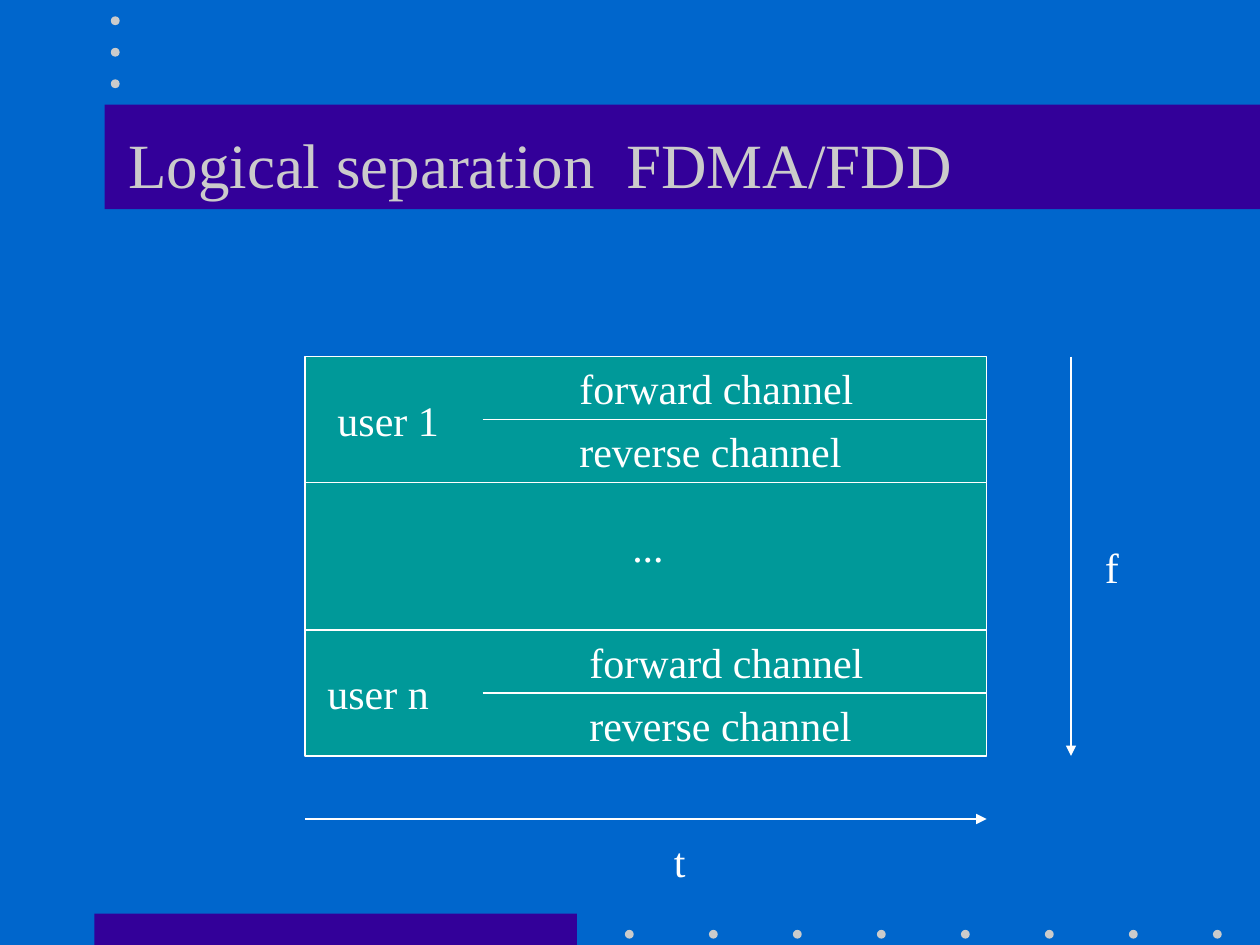
from lxml import etree
from pptx import Presentation
from pptx.dml.color import RGBColor
from pptx.enum.shapes import MSO_CONNECTOR, MSO_SHAPE
from pptx.enum.text import MSO_ANCHOR
from pptx.oxml.ns import qn
from pptx.util import Inches, Pt

RECTANGLE, OVAL = MSO_SHAPE.RECTANGLE, MSO_SHAPE.OVAL
STRAIGHT = MSO_CONNECTOR.STRAIGHT
TOP, MIDDLE = MSO_ANCHOR.TOP, MSO_ANCHOR.MIDDLE

BLUE, PURPLE, TEAL, GRAY, WHITE = "0066CC", "330099", "009999", "CBCBCB", "FFFFFF"
TITLE = "Logical separation  FDMA/FDD"
TITLE_FORMAT = {"name": "Times New Roman", "size": Pt(36)}
LABEL_FORMAT = {"name": "Times New Roman", "size": Pt(24)}

BARS = [(0.75, 7.25, 3.83, 0.25), (0.83, 0.83, 9.17, 0.83)]
DOT_SIZE = 0.07
TOP_DOTS = [(0.88, 0.13 + 0.25 * row) for row in range(3)]
BOTTOM_DOTS = [(4.96 + 2 / 3 * column, 7.38) for column in range(8)]

LEFT, RIGHT, UPPER, LOWER = 2.42, 7.83, 2.83, 6
CHANNEL_LEFT, ROW = 3.83, 0.5
USER_1_END, USER_N_START = 3.83, 5
DIVIDERS = [
    (CHANNEL_LEFT, UPPER + ROW),
    (LEFT, USER_1_END),
    (CHANNEL_LEFT, USER_N_START + ROW),
    (LEFT, USER_N_START),
]
AXES = [(8.5, UPPER, 8.5, LOWER), (LEFT, 6.5, RIGHT, 6.5)]
LABELS = [
    ("f", 8.67, 4.25, 0.58),
    ("t", 5.25, 6.58, 0.25),
    ("user 1", 2.58, 3.08, 1.92),
    ("user n", 2.5, 5.25, 1.17),
    ("forward channel", 4.5, UPPER, 3.58),
    ("reverse channel", 4.5, UPPER + ROW, 2.67),
    ("forward channel", 4.58, USER_N_START, 2.5),
    ("reverse channel", 4.58, USER_N_START + ROW, 2.67),
    ("...", 4.92, 4.08, 0.5),
]


def paint(color_format, color):
    color_format.rgb = RGBColor.from_string(color)


def outline(line):
    paint(line.color, WHITE)
    line.width = Pt(1)


def add_block(slide, kind, box, color):
    shape = slide.shapes.add_shape(kind, *map(Inches, box))
    shape.shadow.inherit = False
    shape.fill.solid()
    paint(shape.fill.fore_color, color)
    shape.line.fill.background()
    return shape


def add_line(slide, ends, arrow=False):
    connector = slide.shapes.add_connector(STRAIGHT, *map(Inches, ends))
    outline(connector.line)
    if arrow:
        etree.SubElement(connector.line._get_or_add_ln(), qn("a:tailEnd"), type="triangle")
    etree.SubElement(connector._element.spPr, qn("a:effectLst"))


def add_text(slide, text, box, text_format, color, anchor=TOP):
    frame = slide.shapes.add_textbox(*map(Inches, box)).text_frame
    frame.word_wrap = True
    frame.vertical_anchor = anchor
    paragraph = frame.paragraphs[0]
    run = paragraph.add_run()
    run.text = text
    for name, value in text_format.items():
        setattr(run.font, name, value)
    paint(run.font.color, color)


def main():
    presentation = Presentation()
    presentation.slide_width, presentation.slide_height = Inches(10), Inches(7.5)
    slide = presentation.slides.add_slide(presentation.slide_layouts[6])
    slide.background.fill.solid()
    paint(slide.background.fill.fore_color, BLUE)

    for bar in BARS:
        add_block(slide, RECTANGLE, bar, PURPLE)
    for left, top in TOP_DOTS + BOTTOM_DOTS:
        add_block(slide, OVAL, (left, top, DOT_SIZE, DOT_SIZE), GRAY)
    add_text(slide, TITLE, (0.92, 0.67, 8.33, 1.25), TITLE_FORMAT, GRAY, MIDDLE)

    band = add_block(slide, RECTANGLE, (LEFT, UPPER, RIGHT - LEFT, LOWER - UPPER), TEAL)
    outline(band.line)
    for left, top in DIVIDERS:
        add_line(slide, (left, top, RIGHT, top))
    for axis in AXES:
        add_line(slide, axis, arrow=True)
    for text, left, top, width in LABELS:
        add_text(slide, text, (left, top, width, ROW), LABEL_FORMAT, WHITE)

    presentation.save("out.pptx")


if __name__ == "__main__":
    main()
